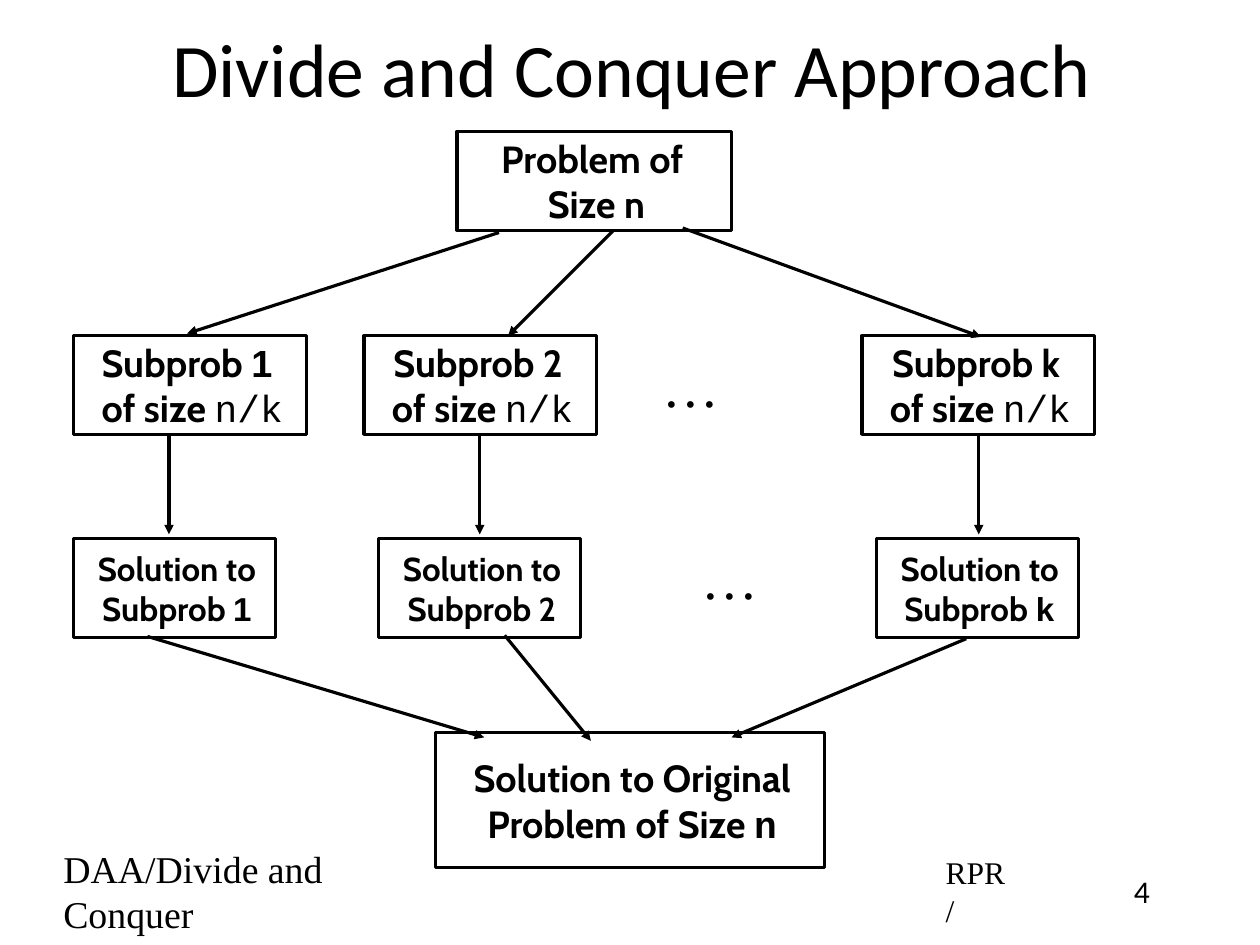
import pptx
import pptx.util
import pptx.dml.color
import pptx.enum.shapes
import pptx.enum.text
import pptx.oxml.ns
from pptx.util import Inches

BLACK = pptx.dml.color.RGBColor(0, 0, 0)
WHITE = pptx.dml.color.RGBColor(255, 255, 255)
LEFT = pptx.enum.text.PP_ALIGN.LEFT
CENTER = pptx.enum.text.PP_ALIGN.CENTER
HEADING, BODY, MONO, SANS, SERIF = "Calibri", "Cabin", "Courier New", "Arial", "Times New Roman"


class Diagram:
    """Draws labels, boxes and arrows in one style on the current slide."""

    def __init__(self, prs):
        self.s = prs.slides.add_slide(prs.slide_layouts[6])
        self.s.background.fill.solid()
        self.s.background.fill.fore_color.rgb = WHITE

    def set_text(self, sp, lines, size, align):
        tf = sp.text_frame
        tf.word_wrap = True
        tf.auto_size = pptx.enum.text.MSO_AUTO_SIZE.NONE
        tf.vertical_anchor = pptx.enum.text.MSO_ANCHOR.MIDDLE
        tf.margin_left = Inches(0.1)
        tf.margin_right = tf.margin_top = tf.margin_bottom = Inches(0.06)
        for i, line in enumerate(lines):
            p = tf.add_paragraph() if i else tf.paragraphs[0]
            p.alignment = align
            for text, font, bold in line:
                r = p.add_run()
                r.text = text
                r.font.name = font
                r.font.bold = bold
                r.font.size = pptx.util.Pt(size)
                r.font.color.rgb = BLACK

    def label(self, at, text, size, font, align=LEFT):
        sp = self.s.shapes.add_textbox(*map(Inches, at))
        self.set_text(sp, [[(text, font, False)]], size, align)

    def box(self, at, lines, size=24):
        rect = pptx.enum.shapes.MSO_SHAPE.RECTANGLE
        sp = self.s.shapes.add_shape(rect, *map(Inches, at))
        sp.shadow.inherit = False
        sp.fill.background()
        sp.line.color.rgb = BLACK
        sp.line.width = pptx.util.Pt(2)
        self.set_text(sp, lines, size, CENTER)

    def arrow(self, start, end):
        straight = pptx.enum.shapes.MSO_CONNECTOR.STRAIGHT
        c = self.s.shapes.add_connector(straight, *map(Inches, start + end))
        c.line.color.rgb = BLACK
        c.line.width = pptx.util.Pt(2)
        qn = pptx.oxml.ns.qn
        sp_pr = c._element.spPr
        ln = sp_pr.find(qn("a:ln"))
        ln.append(ln.makeelement(qn("a:tailEnd"), {"type": "triangle"}))
        sp_pr.append(sp_pr.makeelement(qn("a:effectLst"), {}))


def main():
    prs = pptx.Presentation()
    prs.slide_width, prs.slide_height = Inches(11.11), Inches(8.33)
    d = Diagram(prs)

    d.label((0.83, 0.07, 9.44, 1.04), "Divide and Conquer Approach", 48, HEADING, CENTER)
    d.label((9.72, 7.64, 0.66, 0.42), "4", 20, HEADING, CENTER)
    d.label((0.46, 7.62, 3.5, 0.47), "DAA/Divide and Conquer", 24, SERIF)
    d.label((8.24, 7.64, 0.74, 0.42), "RPR/", 20, SERIF)
    for left, top in ((5.74, 3.06), (6.09, 4.75)):
        d.label((left, top, 0.67, 0.67), "…", 36, SERIF)

    d.box((4.03, 1.16, 2.42, 0.87), [[("Problem of ", BODY, True)], [("Size n", BODY, True)]])
    d.box((3.84, 6.46, 3.43, 1.19),
          [[("Solution to Original Problem of Size ", BODY, True), ("n", MONO, True)]])

    branches = (
        ("1", SANS, SANS, 0.65, 0.65, 1.49, (4.4, 2.05), (1.65, 2.94), (1.3, 5.61), (4.27, 6.5)),
        ("2", BODY, BODY, 3.21, 3.34, 4.23, (5.41, 2.03), (4.48, 2.96), (4.45, 5.6), (5.21, 6.53)),
        ("k", BODY, MONO, 7.6, 7.73, 8.63, (6.02, 2.01), (8.65, 2.97), (8.52, 5.63), (6.45, 6.5)),
    )
    for name, sub_font, sol_font, sub_x, sol_x, mid_x, split, sub_top, sol_bottom, merge in branches:
        d.box((sub_x, 2.96, 2.05, 0.87),
              [[("Subprob ", BODY, True), (name + " ", sub_font, True)],
               [("of size ", BODY, True), ("n/k", MONO, False)]])
        d.box((sol_x, 4.75, 1.78, 0.87),
              [[("Solution to", BODY, True)],
               [("Subprob ", BODY, True), (name, sol_font, True)]], 21)
        d.arrow(split, sub_top)
        d.arrow((mid_x, 3.82), (mid_x, 4.71))
        d.arrow(sol_bottom, merge)

    prs.save("out.pptx")


if __name__ == "__main__":
    main()
